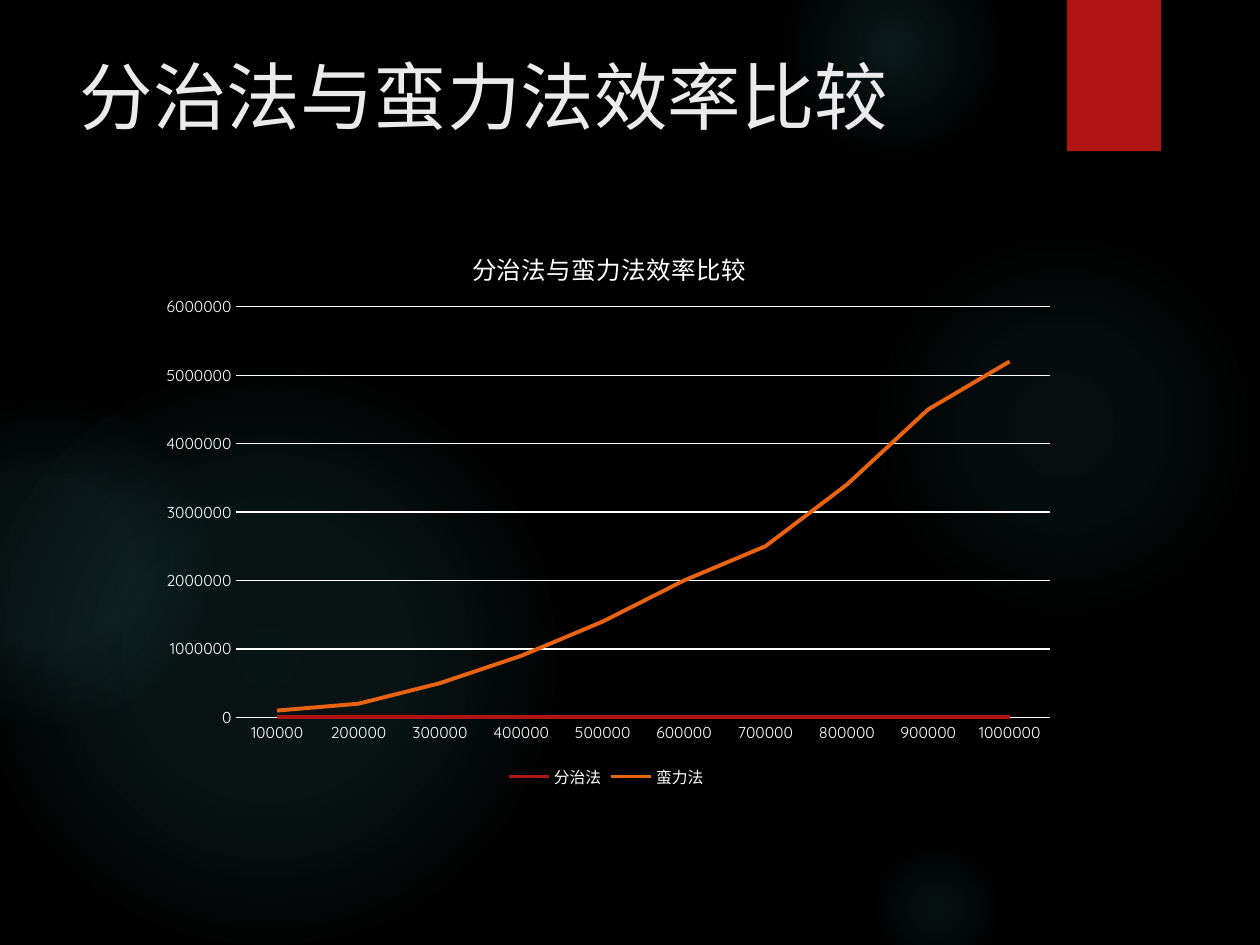
import pptx
import pptx.chart.data
import pptx.dml.color
import pptx.enum.chart
import pptx.enum.shapes
import pptx.enum.text
import pptx.oxml
import pptx.oxml.ns
import pptx.util

COLS, ROWS = 120, 90
FONT = "Quicksand"
TITLE = "分治法与蛮力法效率比较"
COLORS = {"back": "000000", "glow": "50B9C1", "tab": "B01513",
          "title": "EBEBEB", "text": "FFFFFF", "shade": "000000"}
# left, top, size in grid units; (position, alpha) of each stop in percent
GLOWS = [
    (82.7, 22, 37, [(0, 7), (36, 6), (69, 0)]),
    (74.6, -6, 21, [(0, 14), (36, 7), (73, 0)]),
    (82.7, 80, 13, [(0, 9), (36, 5), (66, 0)]),
    (-2, 35, 55, [(0, 11), (36, 10), (75, 0)]),
    (-11, 38, 31, [(0, 8), (36, 8), (72, 0)]),
]
CATS = [str(n * 100000) for n in range(1, 11)]
SERIES = [
    ("分治法", "B01513", [0] * 10),
    ("蛮力法", "EA6312", [100000, 200000, 500000, 900000, 1400000,
                       2000000, 2500000, 3400000, 4500000, 5200000]),
]
TICK = pptx.enum.chart.XL_TICK_MARK.NONE
SHAPE = pptx.enum.shapes.MSO_SHAPE


def rgb(name):
    return pptx.dml.color.RGBColor.from_string(COLORS.get(name, name))


def apply(obj, **vals):
    for key, val in vals.items():
        setattr(obj, key, val)


def style(font, size, color="text"):
    apply(font, name=FONT, size=pptx.util.Pt(size), bold=False)
    font.color.rgb = rgb(color)


def stroke(line, color, width):
    line.color.rgb = rgb(color)
    line.width = pptx.util.Pt(width)


def xml(text, kind="a"):
    head, tail = text.split(" ", 1) if " " in text.split(">", 1)[0] else (
        text.split(">", 1)[0], ">" + text.split(">", 1)[1])
    return pptx.oxml.parse_xml(f"{head} {pptx.oxml.ns.nsdecls(kind)} {tail}")


def plain(slide, form, box):
    shape = slide.shapes.add_shape(form, *box)
    shape.shadow.inherit = False
    shape.line.fill.background()
    return shape


def add_glow(slide, box, stops):
    shape = plain(slide, SHAPE.OVAL, box)
    marks = "".join(
        f'<a:gs pos="{pos * 1000}"><a:srgbClr val="{COLORS["glow"]}">'
        f'<a:alpha val="{alpha * 1000}"/></a:srgbClr></a:gs>'
        for pos, alpha in stops)
    fill = xml(f'<a:gradFill rotWithShape="1"><a:gsLst>{marks}</a:gsLst>'
               '<a:path path="circle"><a:fillToRect l="50000" t="50000" '
               'r="50000" b="50000"/></a:path></a:gradFill>')
    props = shape.element.spPr
    props.find(pptx.oxml.ns.qn("a:prstGeom")).addnext(fill)


def add_tab(slide, box):
    shape = plain(slide, SHAPE.RECTANGLE, box)
    shape.fill.solid()
    shape.fill.fore_color.rgb = rgb("tab")
    effect = shape.element.spPr.find(pptx.oxml.ns.qn("a:effectLst"))
    effect.append(xml(
        f'<a:outerShdw blurRad="{pptx.util.Pt(3)}" dist="{pptx.util.Pt(2)}" '
        f'dir="5400000" rotWithShape="0"><a:srgbClr val="{COLORS["shade"]}">'
        '<a:alpha val="45000"/></a:srgbClr></a:outerShdw>'))


def add_title(slide, box):
    frame = slide.shapes.add_textbox(*box).text_frame
    apply(frame, word_wrap=True, text=TITLE,
          vertical_anchor=pptx.enum.text.MSO_ANCHOR.TOP)
    style(frame.paragraphs[0].runs[0].font, 42, "title")


def layout(inner="", **shares):
    """Manual chart layout from shares of the chart's box."""
    modes = "".join(f'<c:{key}Mode val="edge"/>' for key in "xy")
    sizes = "".join(f'<c:{key} val="{val}"/>' for key, val in shares.items())
    return xml(f"<c:layout><c:manualLayout>{inner}{modes}{sizes}"
               "</c:manualLayout></c:layout>", "c")


def place(part, new):
    """Swap in a layout, which follows c:tx where there is one."""
    old = part.find(pptx.oxml.ns.qn("c:layout"))
    if old is not None:
        part.remove(old)
    text = part.find(pptx.oxml.ns.qn("c:tx"))
    if text is None:
        part.insert(0, new)
    else:
        text.addnext(new)


def add_graph(slide, box):
    data = pptx.chart.data.CategoryChartData()
    data.categories = CATS
    for name, _, vals in SERIES:
        data.add_series(name, vals)
    kind = pptx.enum.chart.XL_CHART_TYPE.LINE
    chart = slide.shapes.add_chart(kind, *box, data).chart
    style(chart.font, 10)

    chart.has_title = True
    frame = chart.chart_title.text_frame
    frame.text = TITLE
    style(frame.paragraphs[0].runs[0].font, 14)
    chart.chart_title.include_in_layout = False
    title = chart.element.chart.find(pptx.oxml.ns.qn("c:title"))
    place(title, layout(x=0.35, y=0.05))
    place(chart.element.chart.plotArea,
          layout('<c:layoutTarget val="inner"/>',
                 x=0.1, y=0.16, w=0.88, h=0.71))

    chart.has_legend = True
    apply(chart.legend, include_in_layout=False,
          position=pptx.enum.chart.XL_LEGEND_POSITION.BOTTOM)
    style(chart.legend.font, 9)

    for axis in (chart.category_axis, chart.value_axis):
        apply(axis, major_tick_mark=TICK, minor_tick_mark=TICK)
        style(axis.tick_labels.font, 9)
    stroke(chart.category_axis.format.line, "text", 0.75)
    axis = chart.value_axis
    apply(axis, minimum_scale=0, maximum_scale=6000000, major_unit=1000000)
    axis.format.line.fill.background()
    stroke(axis.major_gridlines.format.line, "text", 0.75)

    chart.plots[0].vary_by_categories = False
    for line, (_, color, _) in zip(chart.plots[0].series, SERIES):
        line.smooth = False
        line.marker.style = pptx.enum.chart.XL_MARKER_STYLE.NONE
        stroke(line.format.line, color, 2.25)


def main():
    deck = pptx.Presentation()
    apply(deck, slide_width=pptx.util.Inches(10),
          slide_height=pptx.util.Inches(7.5))
    slide = deck.slides.add_slide(deck.slide_layouts[6])
    slide.background.fill.solid()
    slide.background.fill.fore_color.rgb = rgb("back")
    col, row = deck.slide_width / COLS, deck.slide_height / ROWS

    def cell(left, top, width, height):
        return [round(n * unit) for n, unit in
                zip((left, top, width, height), (col, row, col, row))]

    for left, top, size, stops in GLOWS:
        add_glow(slide, cell(left, top, size, size), stops)
    add_tab(slide, cell(101.6, 0, 9, 14.4))
    add_title(slide, cell(6.4, 4.3, 92.6, 18.4))
    add_graph(slide, cell(13.7, 20.4, 88.1, 55.1))
    deck.save("out.pptx")


if __name__ == "__main__":
    main()
